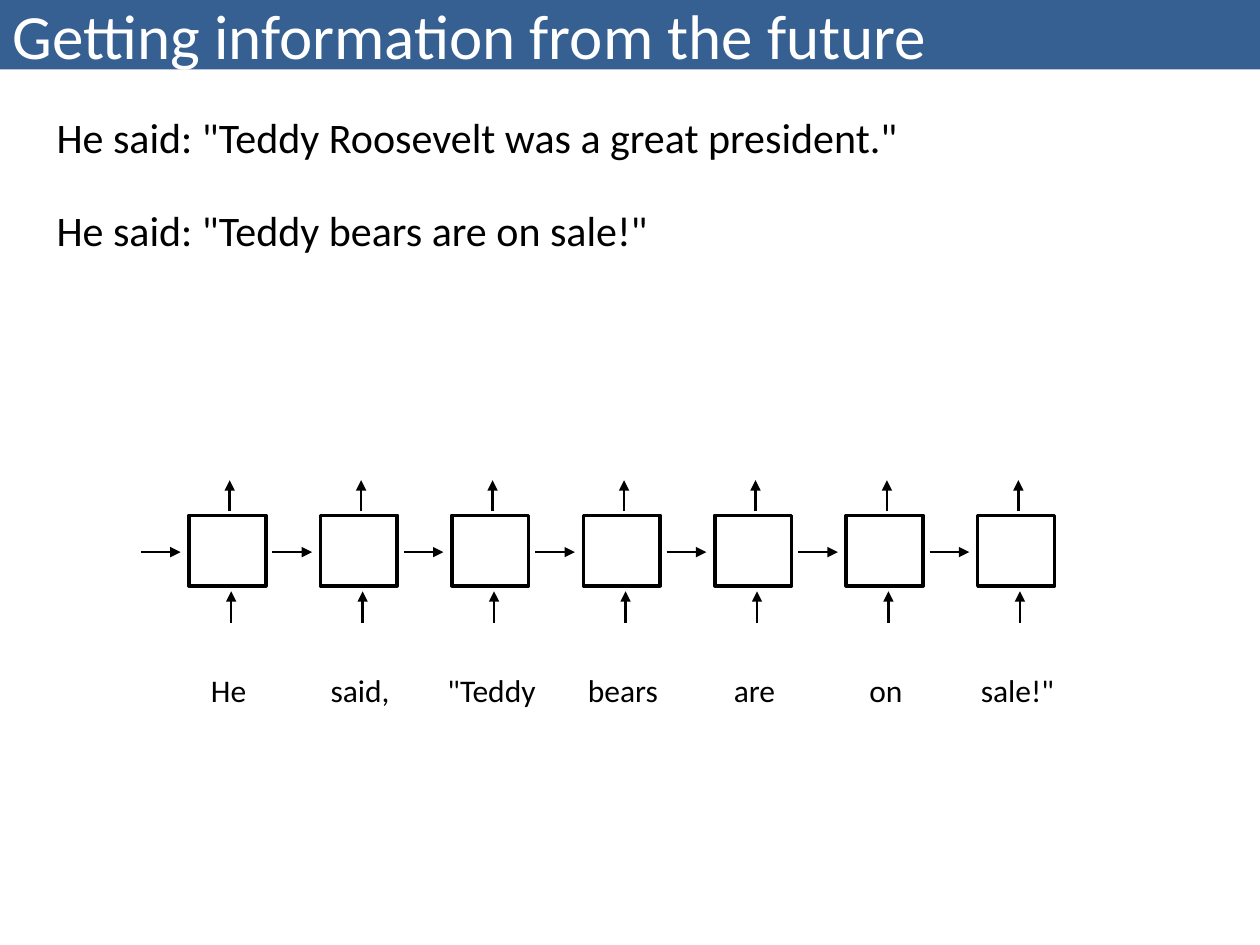
from dataclasses import dataclass

from lxml import etree
from pptx import Presentation
from pptx.dml.color import RGBColor
from pptx.enum.shapes import MSO_CONNECTOR, MSO_SHAPE
from pptx.enum.text import MSO_ANCHOR, MSO_AUTO_SIZE, PP_ALIGN
from pptx.oxml.ns import qn
from pptx.util import Cm, Pt

RECTANGLE = MSO_SHAPE.RECTANGLE
STRAIGHT = MSO_CONNECTOR.STRAIGHT
MIDDLE, TOP = MSO_ANCHOR.MIDDLE, MSO_ANCHOR.TOP
LEFT, CENTER = PP_ALIGN.LEFT, PP_ALIGN.CENTER
NO_FIT, FIT_SHAPE = MSO_AUTO_SIZE.NONE, MSO_AUTO_SIZE.SHAPE_TO_FIT_TEXT
TITLE_ONLY = 5


@dataclass(frozen=True)
class Theme:
    font: str = "Calibri"
    banner: RGBColor = RGBColor(0x37, 0x60, 0x92)
    light: RGBColor = RGBColor(0xFF, 0xFF, 0xFF)
    dark: RGBColor = RGBColor(0, 0, 0)
    title_size: int = 36
    body_size: int = 24
    word_size: int = 18
    cell_line: float = 2
    arrow_line: float = 1.5


THEME = Theme()
EXAMPLES = [
    'He said: "Teddy Roosevelt was a great president."',
    'He said: "Teddy bears are on sale!"',
]
WORDS = ["He", "said,", '"Teddy', "bears", "are", "on", 'sale!"']

# Network grid, in centimetres
FIRST_LEFT, PITCH = 3.81, 2.65
CELL_TOP, CELL_WIDTH, CELL_HEIGHT = 10.39, 1.55, 1.42
STATE_Y = 11.13
WORD_TOP, WORD_WIDTH, WORD_HEIGHT = 13.41, 2.8, 1.02


def write_text(shape, lines, *, size, color=THEME.dark, align=LEFT,
               anchor=TOP, wrap=True, fit=FIT_SHAPE, gap=0):
    """Fill a shape with paragraphs, with a gap in points between them."""
    frame = shape.text_frame
    frame.word_wrap = wrap
    frame.auto_size = fit
    frame.vertical_anchor = anchor
    frame.text = "\n".join(lines)
    for index, paragraph in enumerate(frame.paragraphs):
        paragraph.alignment = align
        paragraph.space_before = Pt(gap if index else 0)
        paragraph.font.name = THEME.font
        paragraph.font.size = Pt(size)
        paragraph.font.color.rgb = color


def add_text(slide, lines, left, top, width, height, **text_format):
    box = slide.shapes.add_textbox(Cm(left), Cm(top), Cm(width), Cm(height))
    write_text(box, lines, **text_format)


def add_title(slide, text):
    title = slide.shapes.title
    title.left, title.top, title.width, title.height = 0, 0, Cm(25.4), Cm(1.4)
    title.fill.solid()
    title.fill.fore_color.rgb = THEME.banner
    write_text(title, [text], size=THEME.title_size, color=THEME.light,
               anchor=MIDDLE, fit=NO_FIT)


def add_cell(slide, left):
    cell = slide.shapes.add_shape(
        RECTANGLE, Cm(left), Cm(CELL_TOP), Cm(CELL_WIDTH), Cm(CELL_HEIGHT))
    cell.shadow.inherit = False
    cell.fill.background()
    cell.line.color.rgb = THEME.dark
    cell.line.width = Pt(THEME.cell_line)


def add_arrow(slide, x1, y1, x2, y2):
    arrow = slide.shapes.add_connector(STRAIGHT, Cm(x1), Cm(y1), Cm(x2), Cm(y2))
    arrow.line.color.rgb = THEME.dark
    arrow.line.width = Pt(THEME.arrow_line)
    etree.SubElement(arrow.line._get_or_add_ln(), qn("a:tailEnd"), type="triangle")
    etree.SubElement(arrow._element.spPr, qn("a:effectLst"))


def add_step(slide, word, left):
    """One time step: input, output and state arrows, cell and word."""
    add_arrow(slide, left + 0.85, 12.55, left + 0.85, 11.92)
    add_arrow(slide, left + 0.82, 10.31, left + 0.82, 9.68)
    add_arrow(slide, left - 0.97, STATE_Y, left - 0.17, STATE_Y)
    add_cell(slide, left)
    add_text(slide, [word], left - 0.6, WORD_TOP, WORD_WIDTH, WORD_HEIGHT,
             size=THEME.word_size, align=CENTER)


def main():
    presentation = Presentation()
    presentation.slide_width, presentation.slide_height = Cm(25.4), Cm(19.05)
    slide = presentation.slides.add_slide(presentation.slide_layouts[TITLE_ONLY])

    # Title and example sentences
    add_title(slide, "Getting information from the future")
    add_text(slide, EXAMPLES, 0.89, 2.13, 17.63, 3.18,
             size=THEME.body_size, wrap=False, gap=24)

    # Recurrent network, one step per word
    for index, word in enumerate(WORDS):
        add_step(slide, word, FIRST_LEFT + index * PITCH)

    presentation.save("out.pptx")


if __name__ == "__main__":
    main()
